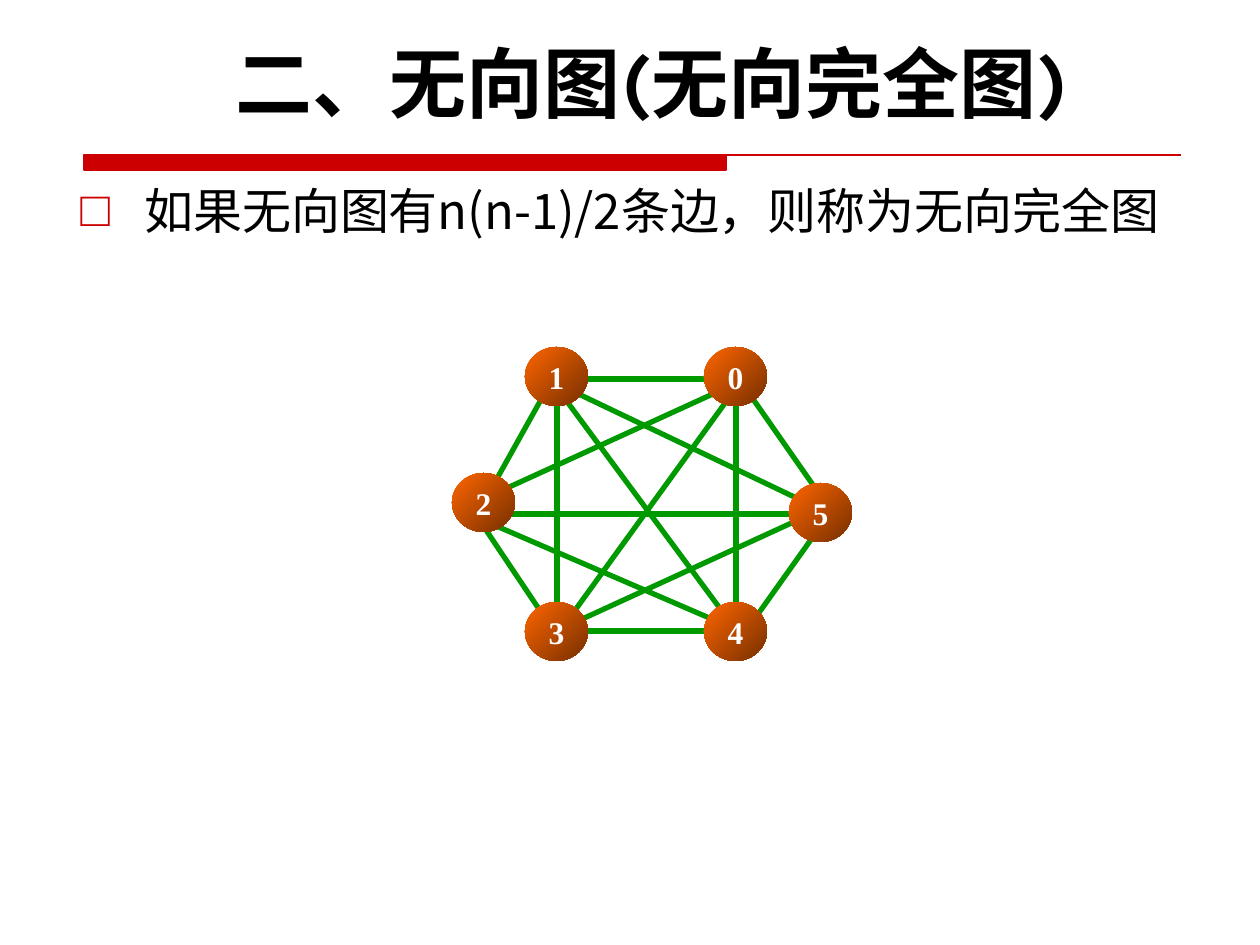
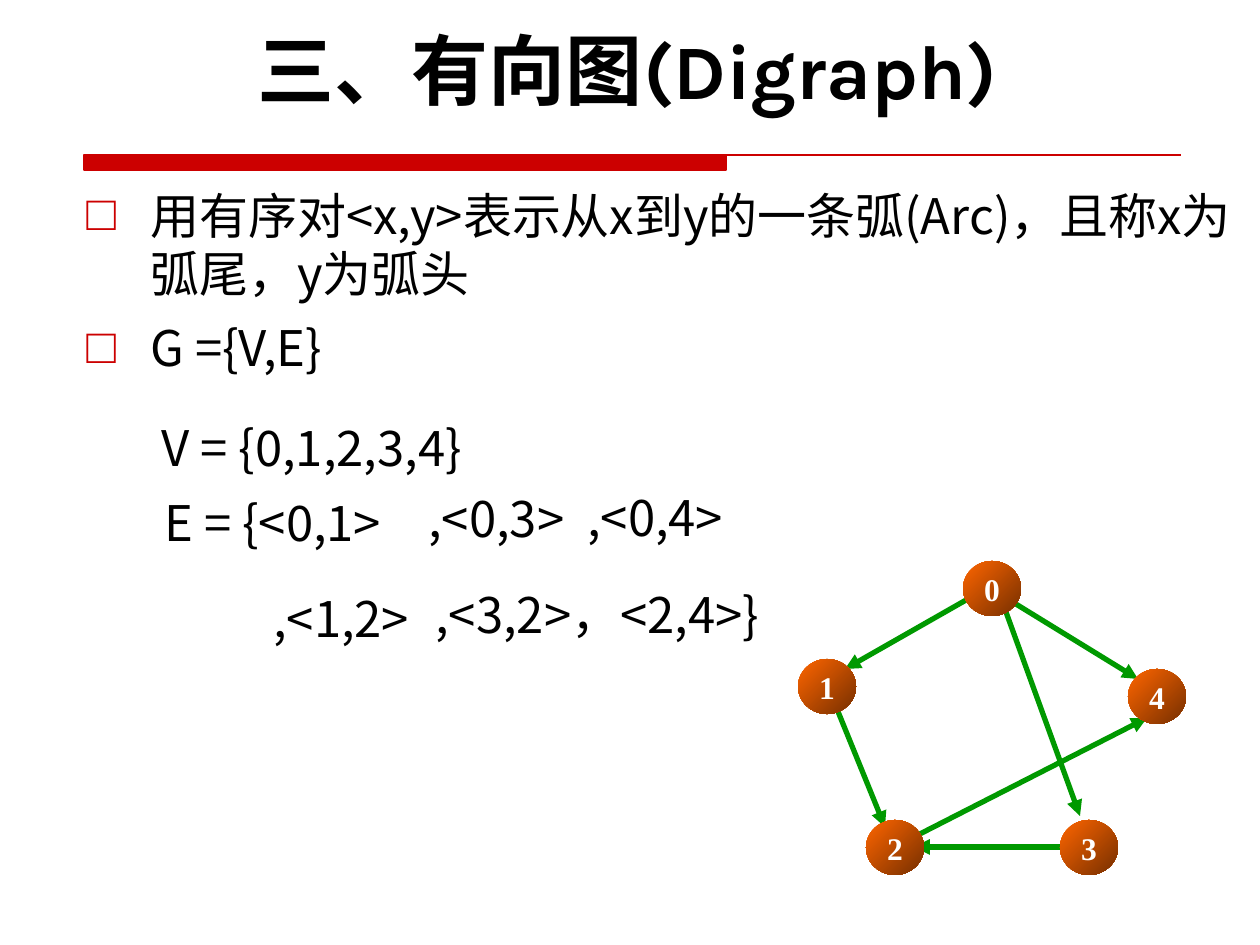
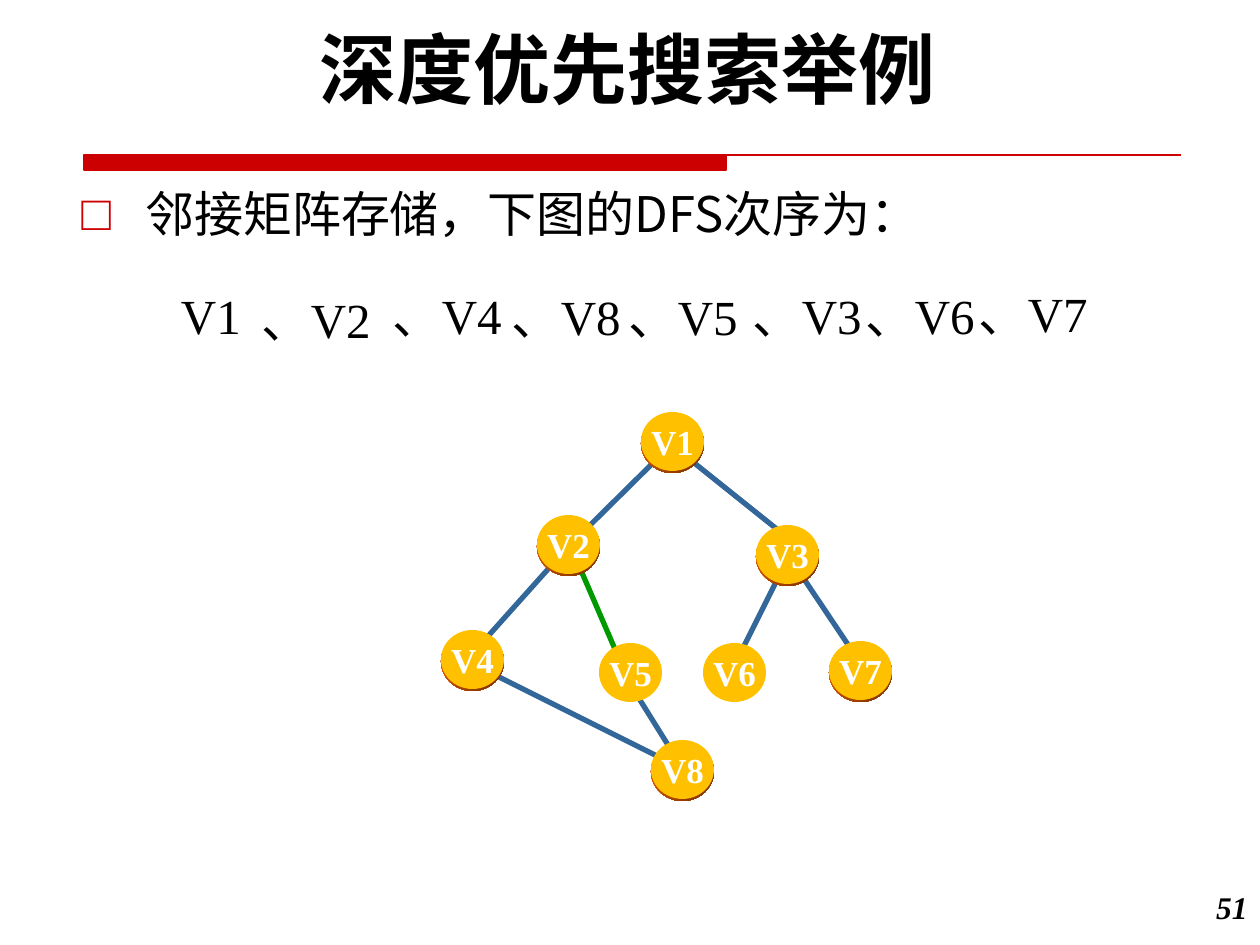
from lxml.etree import SubElement
from pptx import Presentation
from pptx.dml.color import RGBColor
from pptx.enum.shapes import MSO_CONNECTOR, MSO_SHAPE
from pptx.enum.text import MSO_ANCHOR, MSO_AUTO_SIZE, PP_ALIGN
from pptx.oxml.ns import qn
from pptx.util import Emu, Pt

SCALE = 914400 / 126  # EMU in one px
COLORS = {
    "text": "000000", "band": "CC0000", "label": "FFFFFF", "edge": "009900",
    "tree_edge": "336699", "node": "FF6600", "node_dark": "762F00", "gold": "FFC000",
}
CJK, TITLE_FONT, SERIF = "Noto Sans CJK SC", "Karla", "Times New Roman"
NODE_SIZE = (63, 59)


def px(length):
    return Emu(round(length * SCALE))


def color(name):
    return RGBColor.from_string(COLORS[name])


def format_runs(para, font, size, ink="text", bold=False, italic=False):
    for span in para.runs:
        span.font.name = font
        span.font.size = Pt(size)
        span.font.bold = bold
        span.font.italic = italic
        span.font.color.rgb = color(ink)
        SubElement(span.font._element, qn("a:ea"), typeface=CJK)


def add_text(page, left, top, width, height, text, font=CJK, size=28, inset=True,
             align=PP_ALIGN.LEFT, **style):
    box = page.shapes.add_textbox(px(left), px(top), px(width), px(height))
    frame = box.text_frame
    frame.word_wrap = True
    if not inset:
        frame.margin_left = frame.margin_top = frame.margin_right = frame.margin_bottom = 0
    frame.text = text
    for para in frame.paragraphs:
        para.alignment = align
        format_runs(para, font, size, **style)
    return box


def add_bullets(page, left, top, height, lines, line_spacing=None):
    box = add_text(page, left, top, 1207, height, "\n".join(lines))
    for index, para in enumerate(box.text_frame.paragraphs):
        properties = para._p.get_or_add_pPr()
        properties.set("marL", str(px(64)))
        properties.set("indent", str(px(-64)))
        bullet_color = SubElement(properties, qn("a:buClr"))
        SubElement(bullet_color, qn("a:srgbClr"), val=COLORS["band"])
        SubElement(properties, qn("a:buFont"), typeface=SERIF)
        SubElement(properties, qn("a:buChar"), char="□")
        if line_spacing:
            para.line_spacing = line_spacing
        if index:
            para.space_before = Pt(8.4)


def add_edge(page, x1, y1, x2, y2, ink="edge", arrow=False):
    edge = page.shapes.add_connector(
        MSO_CONNECTOR.STRAIGHT, px(x1), px(y1), px(x2), px(y2))
    edge.line.color.rgb = color(ink)
    edge.line.width = Pt(3)
    if arrow:
        SubElement(edge.line._get_or_add_ln(), qn("a:tailEnd"), type="triangle")
    SubElement(edge._element.spPr, qn("a:effectLst"))


def add_node(page, left, top, label="", size=NODE_SIZE, points=18, fill=None):
    """Draw a graph vertex; without a fill name it gets the orange gradient."""
    width, height = size
    node = page.shapes.add_shape(
        MSO_SHAPE.OVAL, px(left), px(top), px(width), px(height))
    node.shadow.inherit = False
    node.line.fill.background()
    if fill:
        node.fill.solid()
        node.fill.fore_color.rgb = color(fill)
    else:
        node.fill.gradient()
        node.fill.gradient_angle = 315
        for stop, place, ink in zip(node.fill.gradient_stops, (0, 1), ("node", "node_dark")):
            stop.position = place
            stop.color.rgb = color(ink)
    if label:
        frame = node.text_frame
        frame.margin_left = frame.margin_right = 0
        frame.word_wrap = False
        frame.vertical_anchor = MSO_ANCHOR.MIDDLE
        frame.text = label
        frame.paragraphs[0].alignment = PP_ALIGN.CENTER
        format_runs(frame.paragraphs[0], SERIF, points, ink="label", bold=True)


def add_layout_band(page):
    """Draw the red title band and move it to the layout that all pages use."""
    outline = page.shapes.build_freeform(84, 155, scale=SCALE)
    outline.add_line_segments([(726, 155), (726, 170), (84, 170)], close=True)
    outline.move_to(84, 155)
    outline.add_line_segments([(1181, 155)], close=False)
    band = outline.convert_to_shape()
    band.shadow.inherit = False
    band.fill.solid()
    band.fill.fore_color.rgb = color("band")
    band.line.color.rgb = color("band")
    band.line.width = Pt(0.75)
    page.slide_layout.element.cSld.spTree.append(band._element)


def start_page(deck, title, left, top):
    page = deck.slides.add_slide(deck.slide_layouts[5])
    holder = page.shapes.title
    holder.left, holder.top = px(left), px(top)
    holder.width, holder.height = px(1166), px(106)
    frame = holder.text_frame
    frame.word_wrap = True
    frame.auto_size = MSO_AUTO_SIZE.NONE
    frame.vertical_anchor = MSO_ANCHOR.TOP
    frame.text = title
    frame.paragraphs[0].alignment = PP_ALIGN.CENTER
    format_runs(frame.paragraphs[0], TITLE_FONT, 44, bold=True)
    return page


def build_complete_graph(deck):
    page = start_page(deck, "二、无向图(无向完全图)", 69, 29)
    add_layout_band(page)
    add_bullets(page, 68, 174, 346, ["如果无向图有n(n-1)/2条边，则称为无向完全图"])
    edges = [
        (714, 379, 588, 379), (736, 401, 736, 610), (746, 389, 820, 495),
        (547, 389, 494, 484), (557, 621, 557, 401), (809, 504, 568, 389),
        (547, 621, 484, 527), (726, 631, 568, 631), (809, 515, 578, 621),
        (820, 527, 746, 631), (736, 630, 557, 388), (568, 620, 736, 388),
        (726, 388, 494, 494), (809, 514, 494, 514), (714, 620, 494, 525),
    ]
    for edge in edges:
        add_edge(page, *edge)
    corners = [(704, 347), (525, 347), (452, 473), (525, 602), (704, 602), (789, 483)]
    for number, corner in enumerate(corners):
        add_node(page, *corner, str(number))


def build_digraph(deck):
    page = start_page(deck, "三、有向图(Digraph)", 45, 16)
    add_bullets(page, 74, 179, 226, [
        "用有序对<x,y>表示从x到y的一条弧(Arc)，且称x为弧尾，y为弧头",
        "G ={V,E}",
    ])
    arcs = [
        (1011, 601, 1138, 679), (837, 709, 885, 827), (982, 591, 845, 669),
        (1002, 601, 1080, 816), (1060, 847, 914, 847), (914, 837, 1147, 718),
    ]
    for arc in arcs:
        add_edge(page, *arc, arrow=True)
    corners = [(963, 561), (798, 659), (866, 820), (1060, 820), (1128, 669)]
    for number, corner in enumerate(corners):
        add_node(page, *corner, str(number), size=(58, 55))
    set_parts = [
        (149, 411, 496, "V = {0,1,2,3,4}"), (152, 486, 273, "E = {<0,1>"),
        (416, 482, 190, ",<0,3>"), (575, 481, 190, ",<0,4>"),
        (261, 582, 190, ",<1,2>"), (423, 578, 374, ",<3,2>，<2,4>}"),
    ]
    for left, top, width, text in set_parts:
        add_text(page, left, top, width, 72, text)


def build_depth_first_search(deck):
    page = start_page(deck, "深度优先搜索举例", 45, 15)
    add_text(page, 1176, 882, 84, 63, "51", SERIF, 18,
             align=PP_ALIGN.RIGHT, bold=True, italic=True)
    add_bullets(page, 69, 184, 91, ["邻接矩阵存储，下图的DFS次序为："], line_spacing=0.9)
    tree_edges = [
        (567, 548, 473, 653), (662, 454, 567, 548), (683, 769, 473, 664),
        (683, 769, 630, 684), (683, 454, 788, 538), (788, 558, 735, 664),
        (798, 570, 861, 664),
    ]
    for edge in tree_edges:
        add_edge(page, *edge, ink="tree_edge")
    add_edge(page, 630, 684, 567, 538)
    vertices = {
        "V1": (641, 412), "V2": (537, 515), "V3": (756, 525), "V4": (441, 630),
        "V5": (599, 643), "V6": (703, 643), "V7": (829, 641), "V8": (651, 740),
    }
    for label, (left, top) in vertices.items():
        if label not in ("V5", "V6"):
            add_node(page, left, top + 2)  # dark rim below the gold disc
        add_node(page, left, top, label, points=20, fill="gold")
    visits = [
        (181, 286, "V1"), (262, 290, "、V2"), (393, 286, "、V4"), (512, 287, "、V8"),
        (629, 287, "、V5"), (753, 286, "、V3"), (866, 286, "、V6"), (979, 284, "、V7"),
    ]
    for left, top, text in visits:
        add_text(page, left, top, 140, 59, text, SERIF, inset=False)


def main():
    deck = Presentation()
    deck.slide_width, deck.slide_height = px(1260), px(945)
    build_complete_graph(deck)
    build_digraph(deck)
    build_depth_first_search(deck)
    deck.save("out.pptx")


if __name__ == "__main__":
    main()
